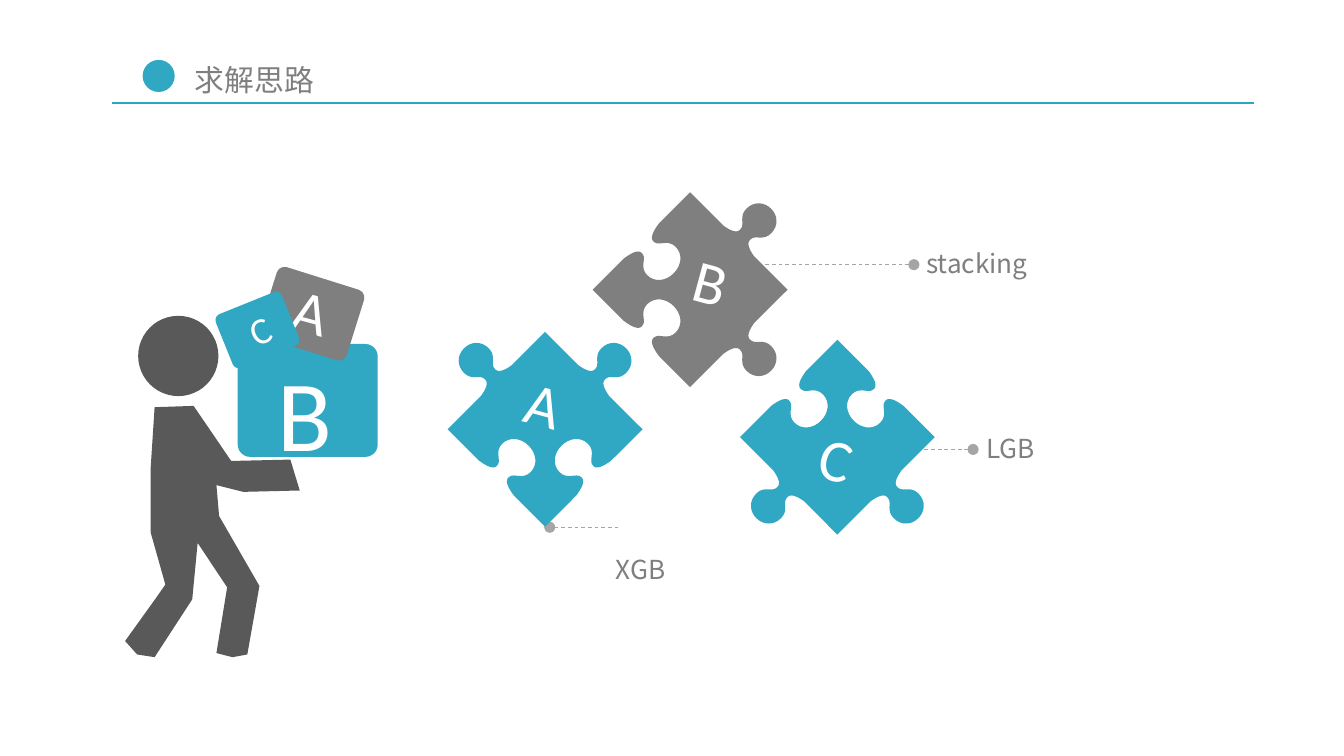
from math import cos, pi, sin, sqrt

from lxml.etree import SubElement
from pptx import Presentation
from pptx.dml.color import RGBColor
from pptx.enum.dml import MSO_LINE
from pptx.enum.shapes import MSO_CONNECTOR, MSO_SHAPE
from pptx.enum.text import MSO_ANCHOR, PP_ALIGN
from pptx.oxml.ns import qn
from pptx.util import Pt

COLORS = {"teal": "30A8C4", "rule": "2BA7C3", "gray": "7F7F7F",
          "dark": "595959", "leader": "A5A5A5", "white": "FFFFFF"}
CJK = "Noto Sans CJK SC"
LATIN = "Calibri"

# Half a jigsaw tab as cubic curves, along and out from the middle of an edge
TAB_START = (-16, 0)
TAB_CURVES = [((-10, 1), (-4, 3), (-5.5, 8)),
              ((-6, 12), (-13, 13), (-13, 21)),
              ((-13, 29), (-7, 34), (0, 34))]
PIECE_SIDE = 145
SOCKET_WIDENING = 1.15

MAN_WIDTH = 131
BODY = [(51, 68), (22, 69), (19, 115), (19, 162), (30, 201), (23, 211),
        (0, 243), (9, 253), (22, 255), (50, 212), (54, 170), (76, 203),
        (68, 252), (80, 255), (91, 253), (100, 202), (70, 150), (68, 127),
        (88, 132), (130, 131), (123, 108), (79, 109)]


def rgb(name):
    return RGBColor.from_string(COLORS[name])


def paint(sp, color):
    sp.shadow.inherit = False
    sp.fill.solid()
    sp.fill.fore_color.rgb = rgb(color)
    sp.line.fill.background()
    return sp


def add_preset(shapes, kind, box, color):
    return paint(shapes.add_shape(kind, *map(Pt, box)), color)


def add_outline(shapes, points, left, top, scale, color):
    points = [(Pt(left + x * scale), Pt(top + y * scale)) for x, y in points]
    builder = shapes.build_freeform(*points[0])
    builder.add_line_segments(points[1:], close=True)
    paint(builder.convert_to_shape(), color)


def tab_points(steps=8):
    """Whole tab: the sampled half, then its mirror."""
    half = [TAB_START]
    for curve in TAB_CURVES:
        knots = (half[-1],) + curve
        for i in range(1, steps + 1):
            t = i / steps
            weights = ((1 - t) ** 3, 3 * t * (1 - t) ** 2, 3 * t * t * (1 - t), t ** 3)
            half.append(tuple(sum(w * k[axis] for w, k in zip(weights, knots))
                              for axis in (0, 1)))
    return half + [(-u, v) for u, v in half[-2::-1]]


def piece_points(edges):
    """Diamond with a knob (1) or socket (-1) per edge, clockwise from upper right."""
    mid = PIECE_SIDE / 2
    points = []
    for i, sign in enumerate(edges):
        corner, out = (i - 1) * pi / 2, (i - 0.5) * pi / 2
        points.append((mid + mid * cos(corner), mid + mid * sin(corner)))
        for u, v in tab_points():
            u *= 1 if sign > 0 else SOCKET_WIDENING
            v = mid / sqrt(2) + sign * v
            points.append((mid + v * cos(out) - u * sin(out),
                           mid + v * sin(out) + u * cos(out)))
    return points


def style_text(tf, size, font, color, align=PP_ALIGN.LEFT):
    p = tf.paragraphs[0]
    p.alignment = align
    r = p.runs[0]
    r.font.size, r.font.name = Pt(size), font
    r.font.color.rgb = rgb(color)
    SubElement(r.font._element, qn("a:ea")).set("typeface", font)


def set_insets(tf, x, y):
    tf.margin_left = tf.margin_right = Pt(x)
    tf.margin_top = tf.margin_bottom = Pt(y)


def add_letter(shapes, letter, box, size, angle):
    s = shapes.add_textbox(*map(Pt, box))
    s.rotation = angle
    tf = s.text_frame
    tf.word_wrap = angle == 0
    tf.text = letter
    style_text(tf, size, LATIN, "white")


def add_line(shapes, start, end, color, width):
    s = shapes.add_connector(MSO_CONNECTOR.STRAIGHT, *map(Pt, start + end))
    s.line.color.rgb = rgb(color)
    s.line.width = Pt(width)
    SubElement(s._element.spPr, qn("a:effectLst"))
    return s


def add_header(slide, left, top, width, text):
    add_line(slide.shapes, (left, top + 25.2), (left + width, top + 25.2), "rule", 0.75)
    add_preset(slide.shapes, MSO_SHAPE.OVAL, (left + 16.6, top + 2.1, 17.2, 17.2), "teal")
    s = slide.shapes.title
    s.left, s.top, s.width, s.height = map(Pt, (left + 39.6, top, 141, 24.5))
    tf = s.text_frame
    tf.text = text
    tf.vertical_anchor = MSO_ANCHOR.TOP
    set_insets(tf, 5, 2.9)
    style_text(tf, 16, CJK, "gray")


def add_callout(shapes, dot, length, text, label_box, align=PP_ALIGN.LEFT):
    """Dashed leader with a round end at dot; label_box is relative to dot."""
    x, y = dot
    s = add_line(shapes, dot, (x + length, y), "leader", 0.5)
    s.line.dash_style = MSO_LINE.DASH
    SubElement(s.line._get_or_add_ln(), qn("a:headEnd")).set("type", "oval")
    dx, dy, width, height = label_box
    label = shapes.add_textbox(*map(Pt, (x + dx, y + dy, width, height)))
    tf = label.text_frame
    tf.word_wrap = True
    set_insets(tf, 3.6, 3.6)
    tf.text = text
    tf.paragraphs[0].space_before = Pt(2)
    style_text(tf, 14, CJK, "gray", align)


def add_man(slide, left, top, width):
    shapes = slide.shapes.add_group_shape().shapes
    add_preset(shapes, MSO_SHAPE.OVAL, (left + 7, top + 0.7, 43, 43), "dark")
    add_outline(shapes, BODY, left, top, width / MAN_WIDTH, "dark")


def add_crates(slide, left, top):
    shapes = slide.shapes.add_group_shape().shapes
    crates = [  # box, angle, colour, letter, letter box, size, letter angle
        ((8.6, 41, 75, 60.5), 0, "teal", "B", (23, 41, 50.4, 72.7), 54, 0),
        ((23.7, 5, 49, 39.6), 17.4, "gray", "A", (31.7, 0, 33, 46), 32, 15.1),
        ((0, 18, 38.2, 31), 338, "teal", "C", (7.9, 18, 25, 31.7), 20, 335.7),
    ]
    for box, angle, color, letter, letter_box, size, letter_angle in crates:
        box, letter_box = [(left + x, top + y, w, h) for x, y, w, h in (box, letter_box)]
        s = add_preset(shapes, MSO_SHAPE.ROUNDED_RECTANGLE, box, color)
        s.adjustments[0] = 0.11
        s.rotation = angle
        add_letter(shapes, letter, letter_box, size, letter_angle)


def add_piece(slide, left, top, side, edges, color, letter, letter_at):
    shapes = slide.shapes.add_group_shape().shapes
    add_outline(shapes, piece_points(edges), left, top, side / PIECE_SIDE, color)
    dx, dy = letter_at
    add_letter(shapes, letter, (left + dx, top + dy, 32.5, 46), 32, 15.1)


def main():
    prs = Presentation()
    prs.slide_width, prs.slide_height = Pt(720), Pt(405)
    slide = prs.slides.add_slide(prs.slide_layouts[5])
    add_header(slide, 59.8, 30, 612, "求解思路")
    add_callout(slide.shapes, (489.6, 141.8), -80.6, "stacking", (3, -13, 202, 24.5))
    add_callout(slide.shapes, (521.3, 240.8), -38, "LGB", (3.6, -12.6, 176, 24.5))
    add_callout(slide.shapes, (294.5, 282.5), 38, "XGB", (-110.9, 10.5, 176.4, 24.5),
                PP_ALIGN.RIGHT)
    add_man(slide, 67, 168.5, 94.3)
    add_crates(slide, 118.8, 143.3)
    add_piece(slide, 239.8, 177.8, 104.4, (1, -1, -1, 1), "teal", "A", (35.3, 15.2))
    add_piece(slide, 317.5, 103, 104.4, (1, 1, -1, -1), "gray", "B", (47.5, 24.5))
    add_piece(slide, 396.4, 182, 104.4, (-1, 1, 1, -1), "teal", "C", (36, 40.4))
    prs.save("out.pptx")


if __name__ == "__main__":
    main()
